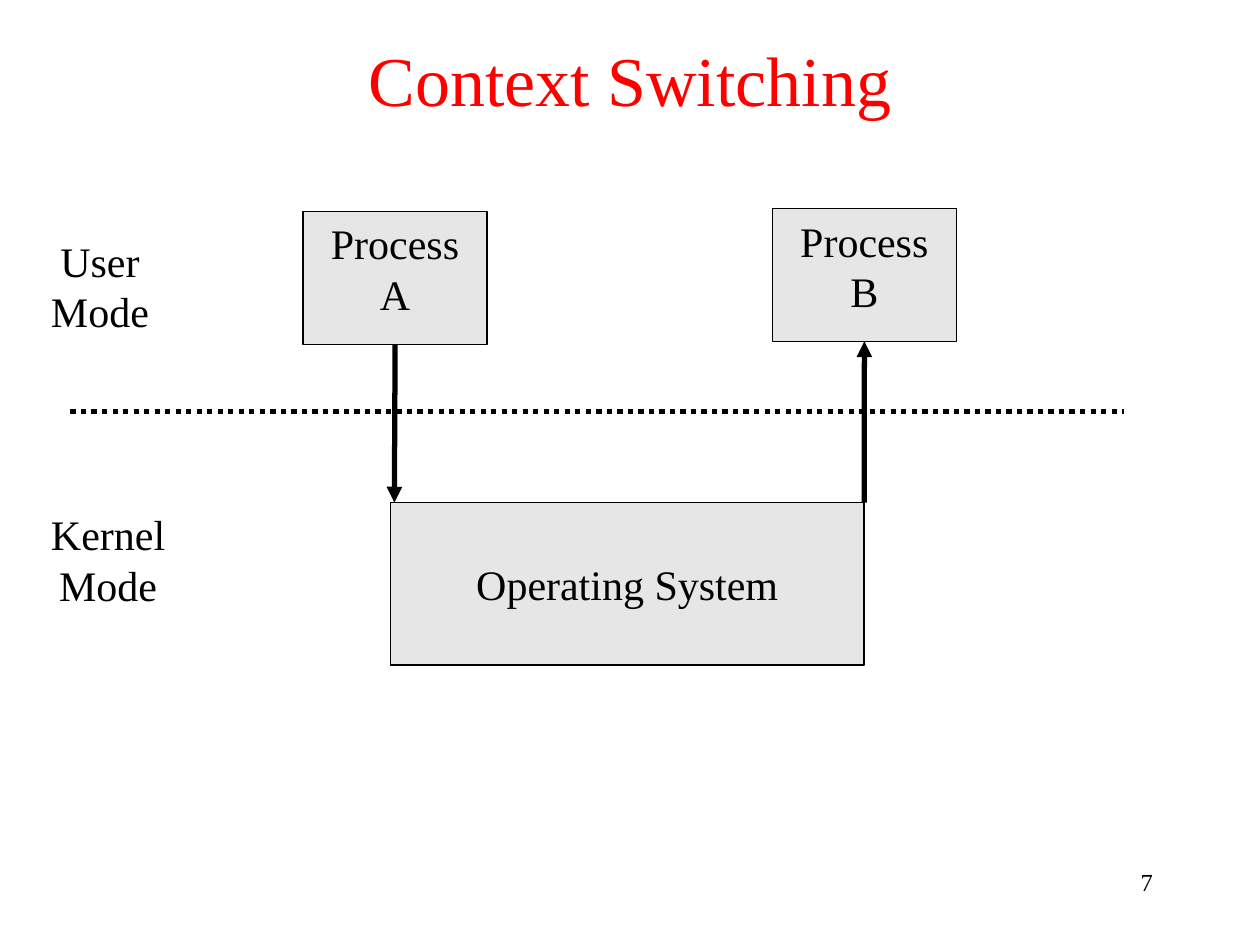
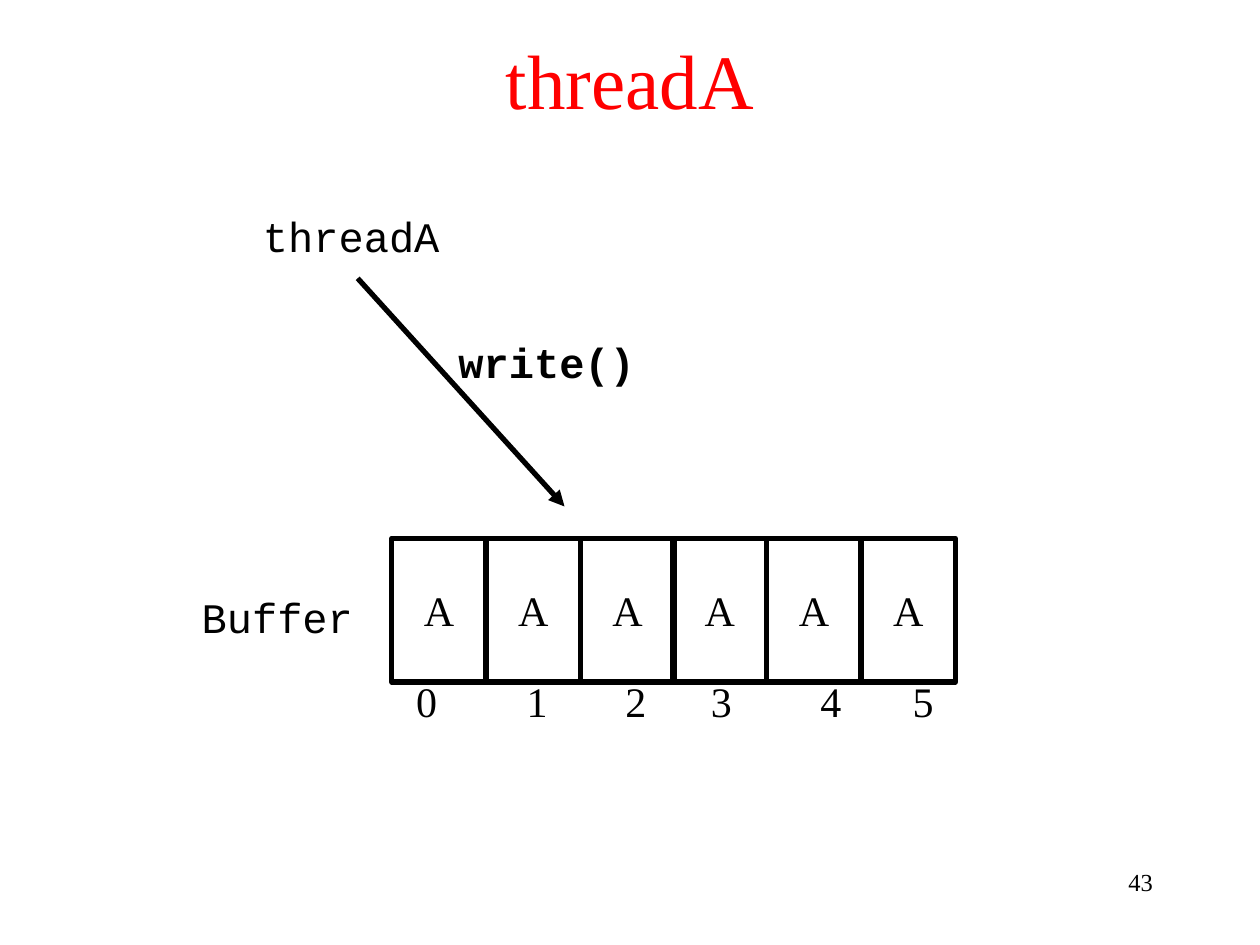
from lxml.etree import SubElement
from pptx import Presentation
from pptx.dml.color import RGBColor
from pptx.enum.dml import MSO_LINE
from pptx.enum.shapes import MSO_CONNECTOR, MSO_SHAPE
from pptx.enum.text import MSO_ANCHOR, PP_ALIGN
from pptx.oxml.ns import qn
from pptx.util import Cm, Pt

COLORS = {"title": "FF0000", "ink": "000000", "block": "E6E6E6"}
SERIF = "Times New Roman"
MONO = "Courier New"


def add_text(page, text, left, top, width, height, size=24, font=SERIF, color="ink",
             bold=False, align=PP_ALIGN.CENTER, anchor=MSO_ANCHOR.TOP, wrap=True,
             fill=None, border=None):
    place = Cm(left), Cm(top), Cm(width), Cm(height)
    if border:
        box = page.shapes.add_shape(MSO_SHAPE.RECTANGLE, *place)
        box.shadow.inherit = False
        box.line.color.rgb = RGBColor.from_string(COLORS["ink"])
        box.line.width = Pt(border)
        if fill:
            box.fill.solid()
            box.fill.fore_color.rgb = RGBColor.from_string(COLORS[fill])
        else:
            box.fill.background()
    else:
        box = page.shapes.add_textbox(*place)
    frame = box.text_frame
    frame.word_wrap = wrap
    frame.vertical_anchor = anchor
    frame.text = text
    for para in frame.paragraphs:
        para.alignment = align
        for span in para.runs:
            span.font.name = font
            span.font.size = Pt(size)
            span.font.bold = bold
            span.font.color.rgb = RGBColor.from_string(COLORS[color])
    return box


def add_line(page, start, end, arrow=True):
    line = page.shapes.add_connector(MSO_CONNECTOR.STRAIGHT, *map(Cm, start + end))
    line.line.color.rgb = RGBColor.from_string(COLORS["ink"])
    line.line.width = Pt(3)
    if arrow:
        SubElement(line.line._get_or_add_ln(), qn("a:tailEnd"), type="triangle")
    SubElement(line._element.spPr, qn("a:effectLst"))
    return line


deck = Presentation()
deck.slide_width = Cm(25.4)
deck.slide_height = Cm(19.05)

pages = []
for title, title_size, number in [("Context Switching", 40, "7"), ("threadA", 44, "43")]:
    page = deck.slides.add_slide(deck.slide_layouts[6])
    add_text(page, title, 0, 0, 25.4, 3.18, size=title_size, color="title",
             anchor=MSO_ANCHOR.MIDDLE)
    add_text(page, number, 18.21, 17.35, 5.28, 1.27, size=14, align=PP_ALIGN.RIGHT)
    pages.append(page)
switching, thread = pages

process_a = add_text(switching, "Process\nA", 6.11, 4.27, 3.71, 2.67,
                     fill="block", border=0.75)
process_b = add_text(switching, "Process\nB", 15.57, 4.21, 3.71, 2.67,
                     fill="block", border=0.75)
add_text(switching, "Operating System", 7.87, 10.13, 9.55, 3.28,
         anchor=MSO_ANCHOR.MIDDLE, fill="block", border=0.75)
add_text(switching, "User\nMode", 0.76, 4.62, 2.51, 2.31, wrap=False)
add_text(switching, "Kernel\nMode", 0.76, 10.13, 2.84, 2.31, wrap=False)

mode_border = add_line(switching, (1.42, 8.3), (22.66, 8.3), arrow=False)
mode_border.line.dash_style = MSO_LINE.ROUND_DOT
save_state = add_line(switching, (7.95, 6.94), (7.95, 10.13))
save_state.begin_connect(process_a, 2)
restore_state = add_line(switching, (17.42, 10.13), (17.42, 6.88))
restore_state.end_connect(process_b, 2)

CELL_WIDTH = 1.9
for half_left in (7.9, 13.56):
    for cell in range(3):
        add_text(thread, "A", half_left + cell * CELL_WIDTH, 10.85, CELL_WIDTH, 2.9,
                 anchor=MSO_ANCHOR.MIDDLE, wrap=False, border=3)
for index, left in enumerate((7.85, 10.08, 12.07, 13.79, 16, 17.86)):
    add_text(thread, str(index), left, 13.49, 1.5, 1.27)

for label, left, top, width, bold in [("Buffer", 3.81, 11.79, 3.56, False),
                                      ("threadA", 5.05, 4.11, 4.06, False),
                                      ("write()", 8.99, 6.65, 4.06, True)]:
    add_text(thread, label, left, top, width, 1.27, font=MONO, bold=bold, wrap=False)
add_line(thread, (7.21, 5.61), (11.38, 10.21))

deck.save("out.pptx")
